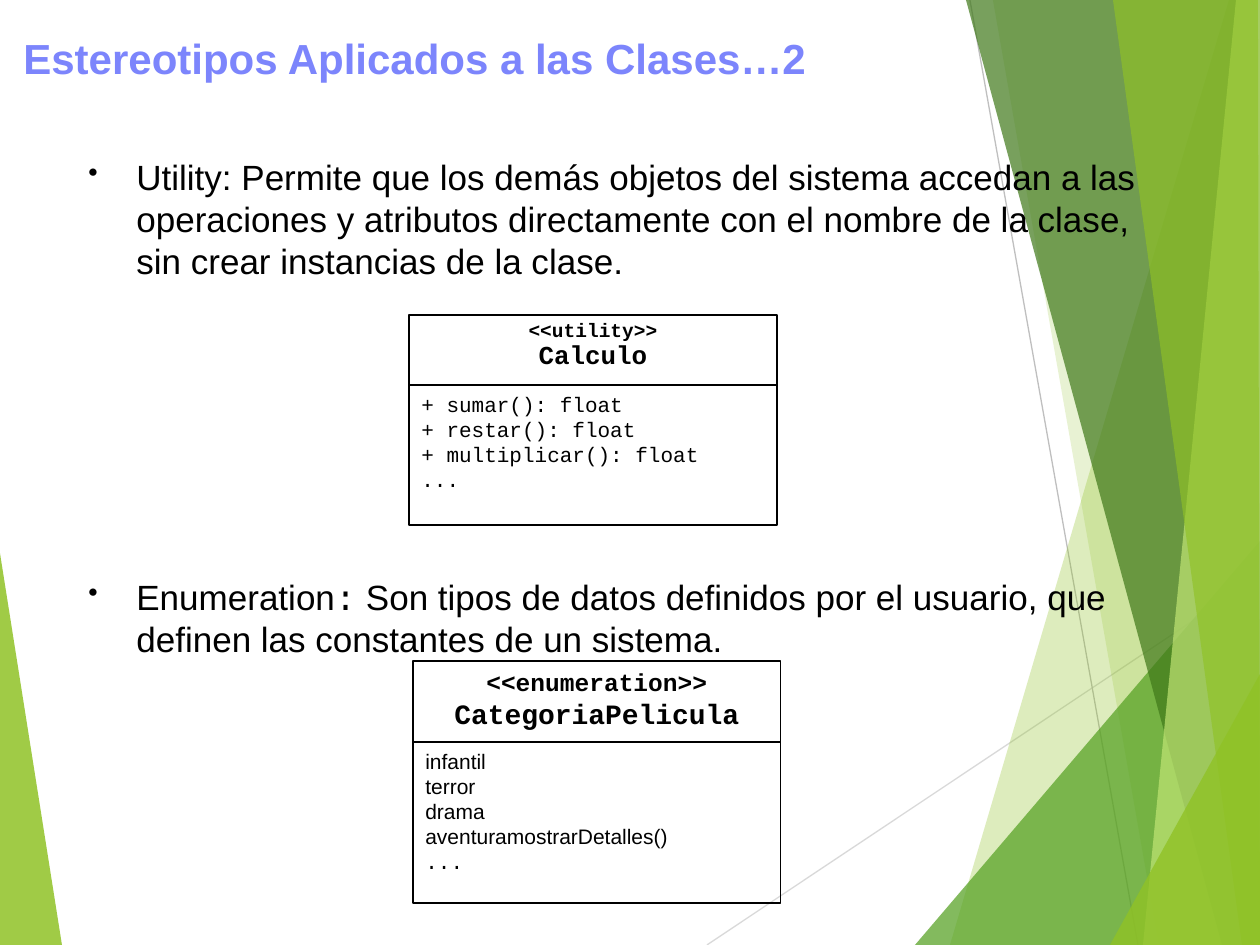
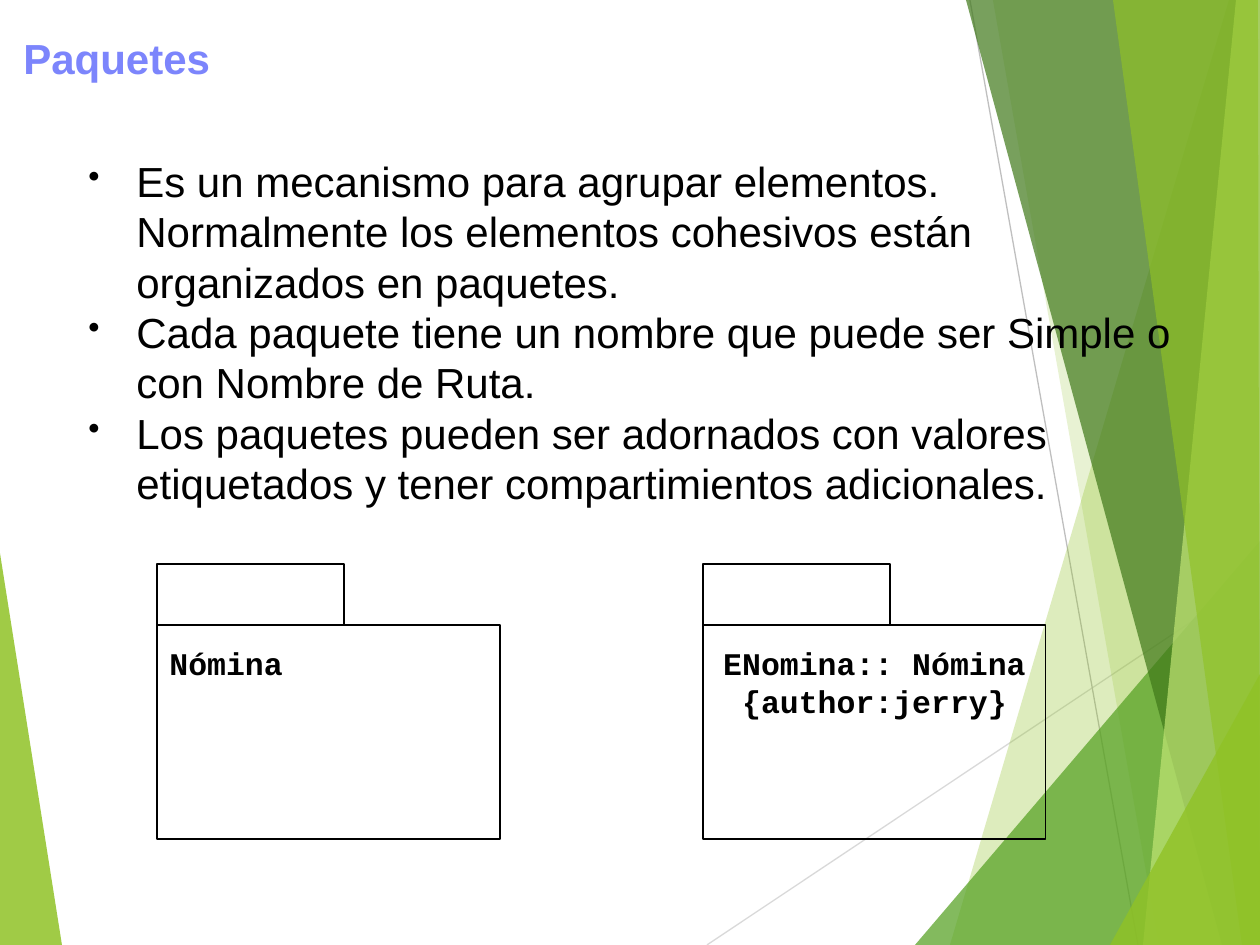
from lxml import etree
from pptx import Presentation
from pptx import util as u
from pptx.dml.color import RGBColor
from pptx.enum import shapes, text
from pptx.oxml import ns

PX = 914400 // 126
WIDTH, HEIGHT = 1260, 945
LEAF = RGBColor(0x90, 0xC2, 0x26)
GREEN = RGBColor(0x54, 0xA0, 0x21)
FOREST = RGBColor(0x3F, 0x78, 0x19)
LIME = RGBColor(0xC0, 0xE4, 0x74)
SILVER = RGBColor(0xD9, 0xD9, 0xD9)
GRAY = RGBColor(0xBF, 0xBF, 0xBF)
BLACK = RGBColor(0, 0, 0)
TITLE_COLOR = RGBColor(0x7C, 0x85, 0xFC)
SANS, MONO = "Arial", "Courier New"
LEADING = 1.2
BULLET_INDENT = 48

# Shared decoration: colour, opacity in percent, corner points
LEFT_BAND = (LEAF, 85, [(0, 553), (62, 945), (0, 945)])
RIGHT_BANDS = [
    (LEAF, 30, [(1229, 0), (950, 945), (1260, 945), (1260, 0)]),
    (LEAF, 20, [(993, 0), (1159, 945), (1260, 945), (1260, 0)]),
    (GREEN, 72, [(915, 945), (1260, 541), (1260, 945)]),
    (FOREST, 70, [(966, 0), (1222, 945), (1260, 945), (1260, 0)]),
    (LIME, 70, [(1236, 0), (1143, 945), (1260, 945), (1260, 0)]),
    (LEAF, 65, [(1113, 0), (1242, 945), (1260, 945), (1258, 0)]),
    (LEAF, 80, [(1110, 945), (1260, 674), (1260, 945)]),
]
RAYS = [(SILVER, (707, 945), (1260, 576)), (GRAY, (970, 0), (1138, 945))]

# Paragraphs are lists of (text, font) spans
STEREOTYPES = {
    "title": "Estereotipos Aplicados a las Clases…2",
    "size": 20,
    "gap": 7 * 20 * LEADING,
    "bullets": [
        [("Utility: Permite que los demás objetos del sistema accedan a las operaciones y "
          "atributos directamente con el nombre de la clase, sin crear instancias de la clase.", SANS)],
        [("Enumeration", SANS), (":", MONO),
         (" Son tipos de datos definidos por el usuario, que definen las constantes "
          "de un sistema.", SANS)],
    ],
}
PACKAGES = {
    "title": "Paquetes",
    "size": 24,
    "gap": 0,
    "bullets": [
        [("Es un mecanismo para agrupar elementos. Normalmente los elementos cohesivos "
          "están organizados en paquetes.", SANS)],
        [("Cada paquete tiene un nombre que puede ser Simple o con Nombre de Ruta.", SANS)],
        [("Los paquetes pueden ser adornados con valores etiquetados y tener "
          "compartimientos adicionales.", SANS)],
    ],
}
CLASS_WIDTH = 368
CLASSES = [
    {"left": 409, "top": 315, "heights": (70, 140), "spacing": 0.9,
     "head": [("<<utility>>", 11.1), ("Calculo", 14.8)],
     "members": [("+ sumar(): float", MONO), ("+ restar(): float", MONO),
                 ("+ multiplicar(): float", MONO), ("...", MONO)]},
    {"left": 413, "top": 661, "heights": (81, 161), "spacing": None,
     "head": [("<<enumeration>>", 14), ("CategoriaPelicula", 16)],
     "members": [("infantil", SANS), ("terror", SANS), ("drama", SANS),
                 ("aventuramostrarDetalles()", SANS), ("...", MONO)]},
]
FOLDER_TOP, TAB_SIZE, FOLDER_SIZE = 564, (187, 61), (343, 214)
FOLDERS = [
    (703, ["ENomina:: Nómina", "{author:jerry}"], text.PP_ALIGN.CENTER),
    (157, ["Nómina"], text.PP_ALIGN.LEFT),
]


def px(*values):
    return [u.Emu(value * PX) for value in values]


def set_all(target, values):
    for name, value in values.items():
        setattr(target, name, value)


def write(para, spans, size, color=BLACK, bold=False, align=text.PP_ALIGN.LEFT, spacing=None):
    """Fill one paragraph; spacing defaults to a fixed multiple of the size."""
    set_all(para, {"alignment": align, "line_spacing": spacing or u.Pt(size * LEADING)})
    for words, font in spans:
        span = para.add_run()
        span.text = words
        set_all(span.font, {"name": font, "size": u.Pt(size), "bold": bold})
        span.font.color.rgb = color


def paragraphs(frame, count):
    return [frame.paragraphs[0]] + [frame.add_paragraph() for _ in range(count - 1)]


def add_band(page, color, opacity, points):
    builder = page.shapes.build_freeform(*points[0], scale=PX)
    builder.add_line_segments(points[1:], close=True)
    band = builder.convert_to_shape()
    band.shadow.inherit = False
    band.fill.solid()
    band.fill.fore_color.rgb = color
    band.line.fill.background()
    paint = band._element.spPr.find(".//" + ns.qn("a:srgbClr"))
    etree.SubElement(paint, ns.qn("a:alpha"), val=str(opacity * 1000))


def add_ray(page, color, start, end):
    ray = page.shapes.add_connector(shapes.MSO_CONNECTOR.STRAIGHT, *px(*start, *end))
    ray.line.color.rgb = color
    ray.line.width = u.Pt(0.75)
    etree.SubElement(ray._element.spPr, ns.qn("a:effectLst"))


def add_outline(page, left, top, width, height):
    box = page.shapes.add_shape(shapes.MSO_SHAPE.RECTANGLE, *px(left, top, width, height))
    box.shadow.inherit = False
    box.fill.background()
    box.line.color.rgb = BLACK
    box.line.width = u.Pt(0.75)
    set_all(box.text_frame, {"word_wrap": True, "vertical_anchor": text.MSO_ANCHOR.TOP})
    return box


def add_bullet(para):
    props = para._p.get_or_add_pPr()
    indent = BULLET_INDENT * PX
    props.set("marL", str(indent))
    props.set("indent", str(-indent))
    color = etree.SubElement(props, ns.qn("a:buClr"))
    etree.SubElement(color, ns.qn("a:srgbClr"), val=str(BLACK))
    etree.SubElement(props, ns.qn("a:buSzPct"), val="80000")
    etree.SubElement(props, ns.qn("a:buChar"), char="•")


def add_page(deck, content):
    page = deck.slides.add_slide(deck.slide_layouts[6])

    # Decoration
    add_band(page, *LEFT_BAND)
    for ray in RAYS:
        add_ray(page, *ray)
    for band in RIGHT_BANDS:
        add_band(page, *band)

    # Title
    frame = page.shapes.add_textbox(*px(11, 11, 1235, 79)).text_frame
    set_all(frame, {"word_wrap": True, "vertical_anchor": text.MSO_ANCHOR.BOTTOM})
    write(frame.paragraphs[0], [(content["title"], SANS)], 24, TITLE_COLOR, True, spacing=0.9)

    # Bullets
    frame = page.shapes.add_textbox(*px(76, 149, 1109, 678)).text_frame
    frame.word_wrap = True
    bullets = content["bullets"]
    for index, (para, spans) in enumerate(zip(paragraphs(frame, len(bullets)), bullets)):
        add_bullet(para)
        para.space_before = u.Pt(content["gap"] if index else 0)
        write(para, spans, content["size"])
    return page


def add_class(page, left, top, heights, spacing, head, members):
    head_height, body_height = heights
    frame = add_outline(page, left, top, CLASS_WIDTH, head_height).text_frame
    for para, (words, size) in zip(paragraphs(frame, len(head)), head):
        write(para, [(words, MONO)], size, bold=True, align=text.PP_ALIGN.CENTER, spacing=spacing)
    frame = add_outline(page, left, top + head_height, CLASS_WIDTH, body_height).text_frame
    for para, member in zip(paragraphs(frame, len(members)), members):
        write(para, [member], 12)


def add_folder(page, left, lines, align):
    add_outline(page, left, FOLDER_TOP, *TAB_SIZE)
    frame = add_outline(page, left, FOLDER_TOP + TAB_SIZE[1], *FOLDER_SIZE).text_frame
    frame.margin_top = px(19)[0]
    for para, words in zip(paragraphs(frame, len(lines)), lines):
        write(para, [(words, MONO)], 18, bold=True, align=align)


def main():
    deck = Presentation()
    deck.slide_width, deck.slide_height = px(WIDTH, HEIGHT)
    page = add_page(deck, STEREOTYPES)
    for uml_class in CLASSES:
        add_class(page, **uml_class)
    page = add_page(deck, PACKAGES)
    for folder in FOLDERS:
        add_folder(page, *folder)
    deck.save("out.pptx")


if __name__ == "__main__":
    main()
